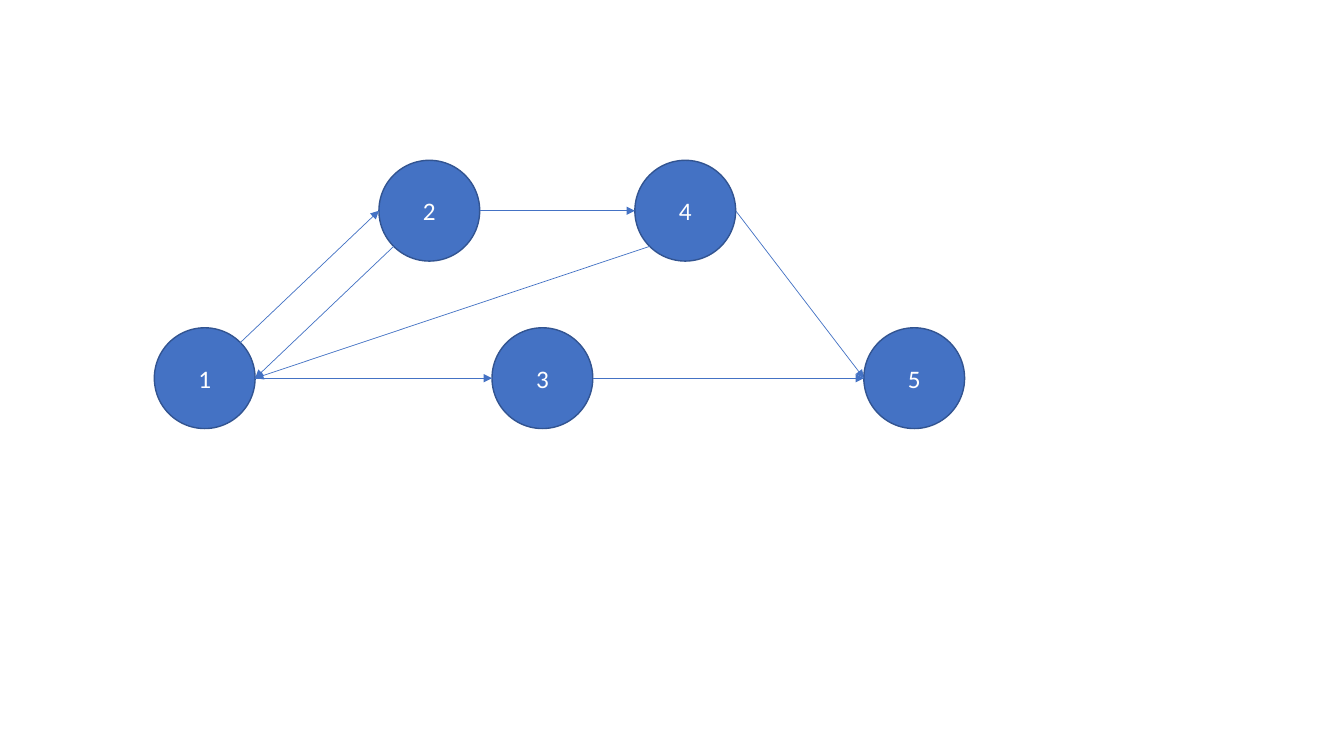
from dataclasses import dataclass
from enum import IntEnum
from math import cos, radians, sin

from lxml.etree import SubElement
from pptx import Presentation
from pptx.dml.color import RGBColor
from pptx.enum.shapes import MSO_CONNECTOR, MSO_SHAPE
from pptx.enum.text import MSO_ANCHOR, PP_ALIGN
from pptx.oxml.ns import qn
from pptx.util import Cm, Pt


@dataclass(frozen=True)
class Theme:
    """Colours, type and line widths of the graph."""
    node: RGBColor = RGBColor(0x44, 0x72, 0xC4)
    outline: RGBColor = RGBColor(0x32, 0x54, 0x91)
    text: RGBColor = RGBColor(0xFF, 0xFF, 0xFF)
    font: str = "Calibri"
    size: Pt = Pt(18)
    outline_width: Pt = Pt(1)
    edge_width: Pt = Pt(0.5)


class Site(IntEnum):
    """Connection sites of an ellipse, counter-clockwise from the top."""
    LEFT = 2
    BOTTOM_LEFT = 3
    RIGHT = 6
    TOP_RIGHT = 7


THEME = Theme()
DIAMETER = Cm(2.54)
UPPER, LOWER = 4.04, 8.26
NODES = {
    "1": (3.89, LOWER),
    "2": (9.55, UPPER),
    "3": (12.4, LOWER),
    "4": (16, UPPER),
    "5": (21.77, LOWER),
}
EDGES = [
    ("1", Site.TOP_RIGHT, "2", Site.LEFT),
    ("2", Site.RIGHT, "4", Site.LEFT),
    ("4", Site.RIGHT, "5", Site.LEFT),
    ("1", Site.RIGHT, "3", Site.LEFT),
    ("3", Site.RIGHT, "5", Site.LEFT),
    ("2", Site.BOTTOM_LEFT, "1", Site.RIGHT),
    ("4", Site.BOTTOM_LEFT, "1", Site.RIGHT),
]


def add_node(slide, label, left, top):
    """Draw a labelled circle and return it."""
    sp = slide.shapes.add_shape(MSO_SHAPE.OVAL, Cm(left), Cm(top), DIAMETER, DIAMETER)
    sp.shadow.inherit = False
    sp.fill.solid()
    sp.fill.fore_color.rgb = THEME.node
    sp.line.color.rgb = THEME.outline
    sp.line.width = THEME.outline_width
    tf = sp.text_frame
    tf.text = label
    tf.vertical_anchor = MSO_ANCHOR.MIDDLE
    p = tf.paragraphs[0]
    p.alignment = PP_ALIGN.CENTER
    font = p.runs[0].font
    font.name, font.size = THEME.font, THEME.size
    font.color.rgb = THEME.text
    return sp


def site_point(sp, site):
    """Return the position of a connection site on a circle."""
    angle = radians(90 + 45 * site)
    radius = sp.width / 2
    return (round(sp.left + radius * (1 + cos(angle))),
            round(sp.top + radius * (1 - sin(angle))))


def add_edge(slide, source, source_site, target, target_site):
    """Draw an arrow joined to a site on each of two circles."""
    cxn = slide.shapes.add_connector(
        MSO_CONNECTOR.STRAIGHT,
        *site_point(source, source_site), *site_point(target, target_site))
    cxn.line.color.rgb = THEME.node
    cxn.line.width = THEME.edge_width
    SubElement(cxn.line._get_or_add_ln(), qn("a:tailEnd"), type="triangle")
    SubElement(cxn._element.spPr, qn("a:effectLst"))
    joints = cxn._element.nvCxnSpPr.cNvCxnSpPr
    for tag, sp, site in (("a:stCxn", source, source_site),
                          ("a:endCxn", target, target_site)):
        SubElement(joints, qn(tag), id=str(sp.shape_id), idx=str(site.value))


def main():
    """Build the directed graph slide."""
    prs = Presentation()
    prs.slide_width, prs.slide_height = Cm(33.87), Cm(19.05)
    slide = prs.slides.add_slide(prs.slide_layouts[6])
    nodes = {label: add_node(slide, label, *at) for label, at in NODES.items()}
    for source, source_site, target, target_site in EDGES:
        add_edge(slide, nodes[source], source_site, nodes[target], target_site)
    prs.save("out.pptx")


if __name__ == "__main__":
    main()
